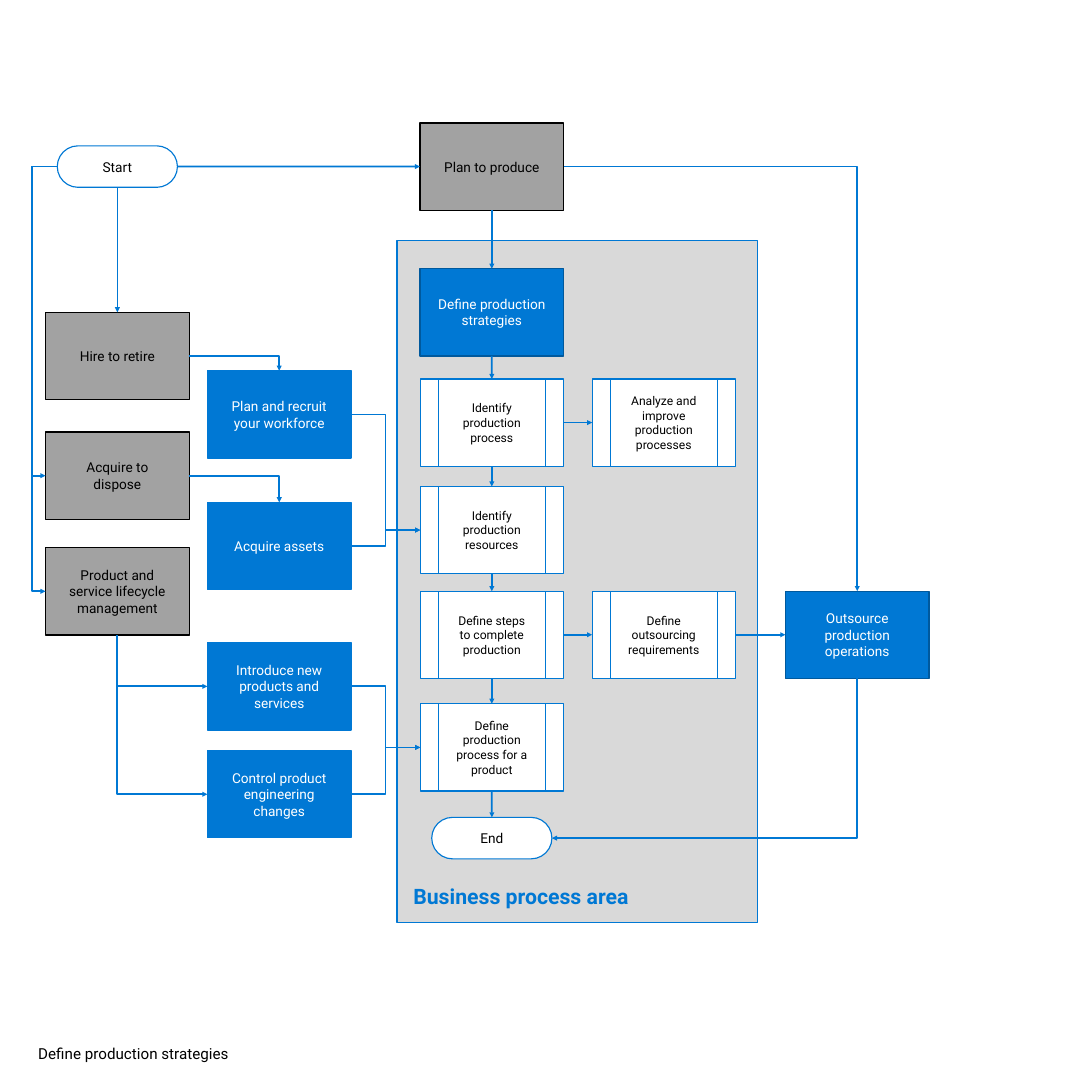
from lxml import etree
from pptx import Presentation, util as u
from pptx.dml.color import RGBColor
from pptx.enum import shapes, text
from pptx.oxml.ns import qn

SLIDE_SIDE = 50.8
FONT = "Roboto"
BLUE, DARK_BLUE, WHITE, BLACK = "0078D4", "00599D", "FFFFFF", "000000"
GREY, LIGHT_GREY = "A2A2A2", "D9D9D9"

# Lengths in cm; columns and rows are the centres of the steps.
COLUMNS = {"source": 5.46, "input": 12.99, "main": 22.88, "side": 30.88, "outside": 39.88}
AREA = ("Business process area", (18.47, 11.18, 16.79, 31.72))
CAPTION = ("Define production strategies", (1.78, 48.59, 8.94, 0.86))
RETURN_LANE = 1.48

# style: preset, width, height, fill, outline, font colour, font size
STYLES = {
    "terminal": ("ROUNDED_RECTANGLE", 5.59, 1.93, WHITE, BLUE, BLACK, 18),
    "end_to_end": ("RECTANGLE", 6.68, 4.06, GREY, BLACK, BLACK, 18),
    "area": ("RECTANGLE", 6.68, 4.06, BLUE, BLUE, WHITE, 18),
    "key_area": ("RECTANGLE", 6.68, 4.06, BLUE, DARK_BLUE, WHITE, 18),
    "process": ("FLOWCHART_PREDEFINED_PROCESS", 6.66, 4.06, WHITE, BLUE, BLACK, 16),
}

# key: label, style, column, row
STEPS = {
    "start": ("Start", "terminal", "source", 7.75),
    "hire": ("Hire to retire", "end_to_end", "source", 16.56),
    "acquire": ("Acquire to dispose", "end_to_end", "source", 22.13),
    "lifecycle": ("Product and service lifecycle management", "end_to_end", "source", 27.51),
    "recruit": ("Plan and recruit your workforce", "area", "input", 19.28),
    "assets": ("Acquire assets", "area", "input", 25.4),
    "introduce": ("Introduce new products and services", "area", "input", 31.93),
    "control": ("Control product engineering changes", "area", "input", 36.95),
    "plan": ("Plan to produce", "end_to_end", "main", 7.75),
    "strategies": ("Define production strategies", "key_area", "main", 14.53),
    "identify": ("Identify production process", "process", "main", 19.66),
    "resources": ("Identify production resources", "process", "main", 24.66),
    "steps": ("Define steps to complete production", "process", "main", 29.53),
    "product": ("Define production process for a product", "process", "main", 34.77),
    "end": ("End", "terminal", "main", 38.99),
    "analyze": ("Analyze and improve production processes", "process", "side", 19.66),
    "requirements": ("Define outsourcing requirements", "process", "side", 29.53),
    "outsource": ("Outsource production operations", "key_area", "outside", 29.53),
}

MAIN_FLOW = ["plan", "strategies", "identify", "resources", "steps", "product", "end"]
SIDES = ["top", "left", "bottom", "right"]
FLOWS = [(a, "bottom", b, "top") for a, b in zip(MAIN_FLOW, MAIN_FLOW[1:])] + [
    ("start", "right", "plan", "left"),
    ("start", "bottom", "hire", "top"),
    ("start", "left", "acquire", "left"),
    ("start", "left", "lifecycle", "left"),
    ("hire", "right", "recruit", "top"),
    ("acquire", "right", "assets", "top"),
    ("lifecycle", "bottom", "introduce", "left"),
    ("lifecycle", "bottom", "control", "left"),
    ("recruit", "right", "resources", "left"),
    ("assets", "right", "resources", "left"),
    ("introduce", "right", "product", "left"),
    ("control", "right", "product", "left"),
    ("identify", "right", "analyze", "left"),
    ("steps", "right", "requirements", "left"),
    ("requirements", "right", "outsource", "left"),
    ("plan", "right", "outsource", "top"),
    ("outsource", "bottom", "end", "right"),
]


def color(target, hex_color):
    """Give a fill or font colour a solid hex value."""
    target.rgb = RGBColor.from_string(hex_color)


def write(frame, words, size, hex_color, bold=False):
    frame.text = words
    font = frame.paragraphs[0].runs[0].font
    font.name, font.size, font.bold = FONT, u.Pt(size), bold
    color(font.color, hex_color)


def add_box(canvas, preset, place, fill, outline):
    box = canvas.add_shape(shapes.MSO_SHAPE[preset], *map(u.Cm, place))
    box.shadow.inherit = False
    box.fill.solid()
    color(box.fill.fore_color, fill)
    color(box.line.color, outline)
    box.line.width = u.Pt(1.5)
    frame = box.text_frame
    frame.word_wrap = True
    frame.margin_left = frame.margin_right = u.Cm(0.76)
    frame.margin_top = frame.margin_bottom = u.Cm(0.61)
    return box


def add_step(canvas, label, style, column, row):
    preset, width, height, fill, outline, ink, size = STYLES[style]
    place = (COLUMNS[column] - width / 2, row - height / 2, width, height)
    step = add_box(canvas, preset, place, fill, outline)
    if style == "terminal":
        step.adjustments[0] = 0.5
    write(step.text_frame, label, size, ink)
    step.text_frame.vertical_anchor = text.MSO_ANCHOR.MIDDLE
    step.text_frame.paragraphs[0].alignment = text.PP_ALIGN.CENTER
    return step


def route(arrow, from_side, to_side):
    """Bend an elbow arrow to suit the sides that it joins."""
    geometry = arrow._element.spPr.find(qn("a:prstGeom"))
    x1, y1, x2, y2 = arrow.begin_x, arrow.begin_y, arrow.end_x, arrow.end_y
    if from_side == to_side:
        bend = round((u.Cm(RETURN_LANE) - x1) / (x2 - x1) * 100000)
        guides = geometry.find(qn("a:avLst"))
        etree.SubElement(guides, qn("a:gd"), name="adj1", fmla=f"val {bend}")
    elif {from_side, to_side} != {"left", "right"}:
        geometry.set("prst", "bentConnector2")
    if from_side == "bottom":
        # A quarter turn makes the first leg vertical.
        mid_x, mid_y = (x1 + x2) // 2, (y1 + y2) // 2
        half_x, half_y = (y2 - y1) // 2, (x1 - x2) // 2
        arrow.begin_x, arrow.begin_y = mid_x - half_x, mid_y - half_y
        arrow.end_x, arrow.end_y = mid_x + half_x, mid_y + half_y
        arrow._element.spPr.find(qn("a:xfrm")).set("rot", "5400000")


def add_flow(canvas, start, from_side, finish, to_side):
    opposite = {from_side, to_side} in ({"top", "bottom"}, {"left", "right"})
    centres = [(s.left + s.width // 2, s.top + s.height // 2) for s in (start, finish)]
    aligned = any(abs(a - b) < u.Cm(0.01) for a, b in zip(*centres))
    straight = opposite and aligned
    kind = shapes.MSO_CONNECTOR.STRAIGHT if straight else shapes.MSO_CONNECTOR.ELBOW
    arrow = canvas.add_connector(kind, 0, 0, 0, 0)
    arrow.begin_connect(start, SIDES.index(from_side))
    arrow.end_connect(finish, SIDES.index(to_side))
    if not straight:
        route(arrow, from_side, to_side)
    color(arrow.line.color, BLUE)
    arrow.line.width = u.Pt(2.25)
    etree.SubElement(arrow.line._get_or_add_ln(), qn("a:tailEnd"), type="triangle")
    etree.SubElement(arrow._element.spPr, qn("a:effectLst"))


def main():
    deck = Presentation()
    deck.slide_width = deck.slide_height = u.Cm(SLIDE_SIDE)
    canvas = deck.slides.add_slide(deck.slide_layouts[6]).shapes

    title, place = AREA
    area = add_box(canvas, "RECTANGLE", place, LIGHT_GREY, BLUE)
    write(area.text_frame, title, 28, BLUE, bold=True)
    area.text_frame.vertical_anchor = text.MSO_ANCHOR.BOTTOM
    area.text_frame.paragraphs[0].alignment = text.PP_ALIGN.LEFT

    steps = {key: add_step(canvas, *step) for key, step in STEPS.items()}
    for start, from_side, finish, to_side in FLOWS:
        add_flow(canvas, steps[start], from_side, steps[finish], to_side)

    words, place = CAPTION
    caption = canvas.add_textbox(*map(u.Cm, place)).text_frame
    caption.margin_left = caption.margin_right = 0
    caption.margin_top = caption.margin_bottom = 0
    caption.word_wrap = False
    caption.auto_size = text.MSO_AUTO_SIZE.SHAPE_TO_FIT_TEXT
    write(caption, words, 20, BLACK)

    deck.save("out.pptx")


if __name__ == "__main__":
    main()
